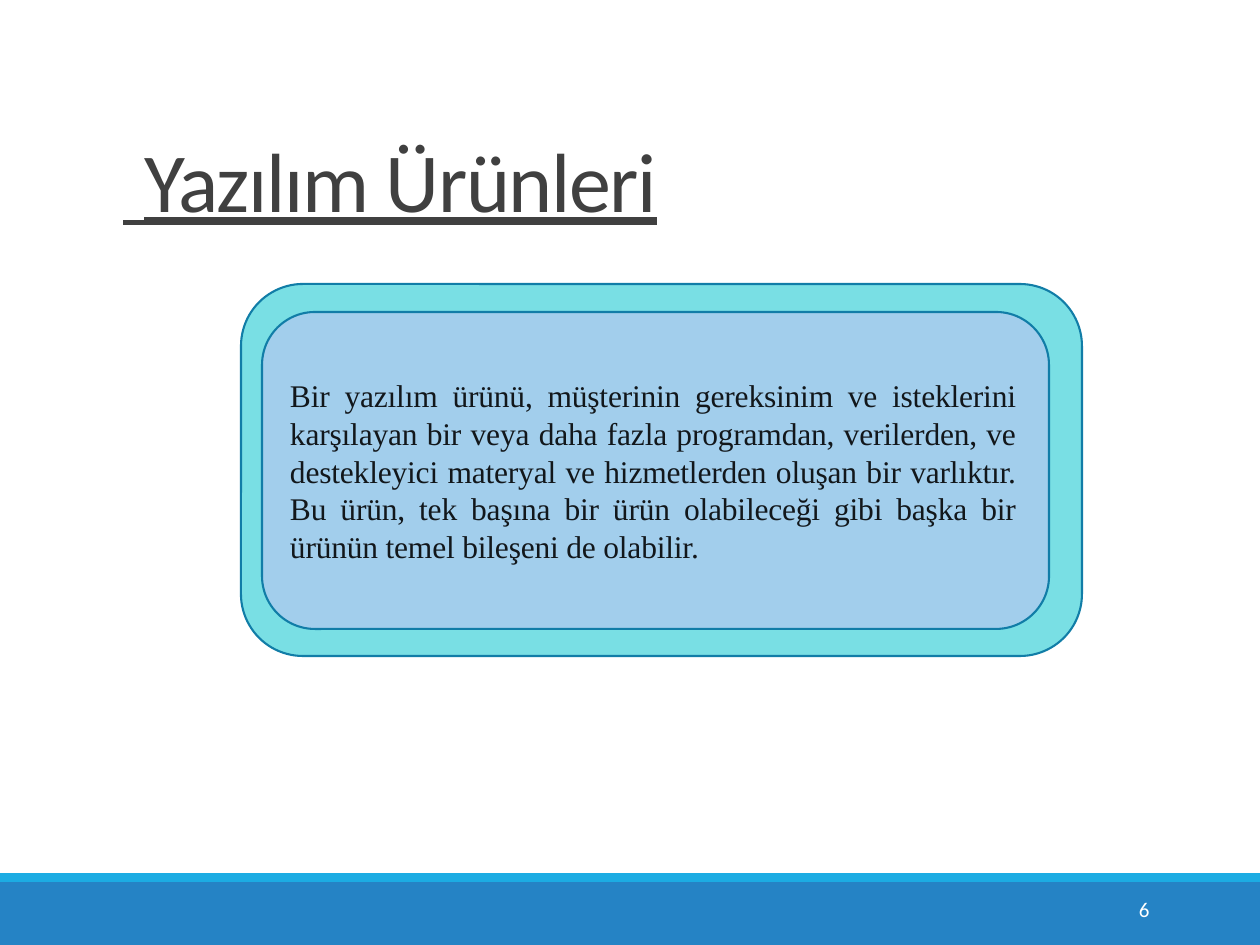
from typing import NamedTuple

from pptx import Presentation
from pptx.dml.color import RGBColor
from pptx.enum.shapes import MSO_SHAPE as Kind
from pptx.enum.text import MSO_ANCHOR as Anchor, MSO_AUTO_SIZE as Fit, PP_ALIGN as Align
from pptx.util import Emu, Pt

SCALE = 914400 / 126

BLUE = RGBColor(0x25, 0x83, 0xC5)
CYAN = RGBColor(0x1C, 0xAC, 0xE3)
AQUA = RGBColor(0x79, 0xDF, 0xE4)
SKY = RGBColor(0xA2, 0xCE, 0xEC)
EDGE = RGBColor(0x11, 0x7D, 0xA7)
GRAY = RGBColor(0x40, 0x40, 0x40)
INK = RGBColor(0x12, 0x17, 0x1B)
WHITE = RGBColor(0xFF, 0xFF, 0xFF)

SERIF = "Times New Roman"
SANS = "Calibri"


class Box(NamedTuple):
    x: int
    y: int
    w: int
    h: int


class Panel(NamedTuple):
    box: Box
    kind: Kind
    fill: RGBColor
    edge: RGBColor | None = None


class Piece(NamedTuple):
    """A run of text with its font and its letter spacing in points."""
    text: str
    font: str
    space: float = 0


class Label(NamedTuple):
    box: Box
    pieces: list[Piece]
    size: int
    color: RGBColor
    align: Align = Align.LEFT
    inset: int = 0


PANELS = [
    Panel(Box(0, 882, 1260, 63), Kind.RECTANGLE, BLUE),
    Panel(Box(0, 873, 1260, 9), Kind.RECTANGLE, CYAN),
    Panel(Box(241, 284, 841, 372), Kind.ROUNDED_RECTANGLE, AQUA, EDGE),
    Panel(Box(262, 312, 787, 317), Kind.ROUNDED_RECTANGLE, SKY, EDGE),
]

TITLE = Label(
    Box(123, 126, 1033, 105),
    [Piece(" ", SERIF, -10.5), Piece("Yazılım Ürünleri", SANS, -0.8)],
    48, GRAY, inset=3,
)
BODY = Label(
    Box(290, 373, 726, 193),
    [Piece("Bir yazılım ürünü, müşterinin gereksinim ve isteklerini "
           "karşılayan bir veya daha fazla programdan, verilerden, ve "
           "destekleyici materyal ve hizmetlerden oluşan bir varlıktır. "
           "Bu ürün, tek başına bir ürün olabileceği gibi başka bir "
           "ürünün temel bileşeni de olabilir.", SERIF, -0.1)],
    18, INK, Align.JUSTIFY, inset=3,
)
NUMBER = Label(Box(1139, 897, 25, 29), [Piece("6", SANS)], 12, WHITE)


def px(n: int) -> Emu:
    return Emu(round(n * SCALE))


def draw_panel(slide, panel: Panel) -> None:
    shape = slide.shapes.add_shape(panel.kind, *map(px, panel.box))
    shape.shadow.inherit = False
    shape.fill.solid()
    shape.fill.fore_color.rgb = panel.fill
    if panel.edge is None:
        shape.line.fill.background()
    else:
        shape.line.color.rgb = panel.edge
        shape.line.width = Pt(1.2)


def write(shape, label: Label) -> None:
    """Place the shape and fill it with the label's one paragraph."""
    shape.left, shape.top, shape.width, shape.height = map(px, label.box)
    frame = shape.text_frame
    frame.word_wrap = True
    frame.auto_size = Fit.NONE
    frame.vertical_anchor = Anchor.TOP
    frame.margin_left = frame.margin_right = frame.margin_bottom = 0
    frame.margin_top = px(label.inset)
    para = frame.paragraphs[0]
    para.alignment = label.align
    para.font.size = Pt(label.size)
    para.font.color.rgb = label.color
    for piece in label.pieces:
        run = para.add_run()
        run.text = piece.text
        run.font.name = piece.font
        if piece.space:
            run._r.get_or_add_rPr().set("spc", str(round(piece.space * 100)))


def main() -> None:
    deck = Presentation()
    deck.slide_width, deck.slide_height = px(1260), px(945)
    slide = deck.slides.add_slide(deck.slide_layouts[5])
    for panel in PANELS:
        draw_panel(slide, panel)

    title = slide.shapes.title
    write(title, TITLE)
    title.text_frame.paragraphs[0].font.underline = True

    for label in (BODY, NUMBER):
        write(slide.shapes.add_textbox(*map(px, label.box)), label)
    deck.save("out.pptx")


if __name__ == "__main__":
    main()
